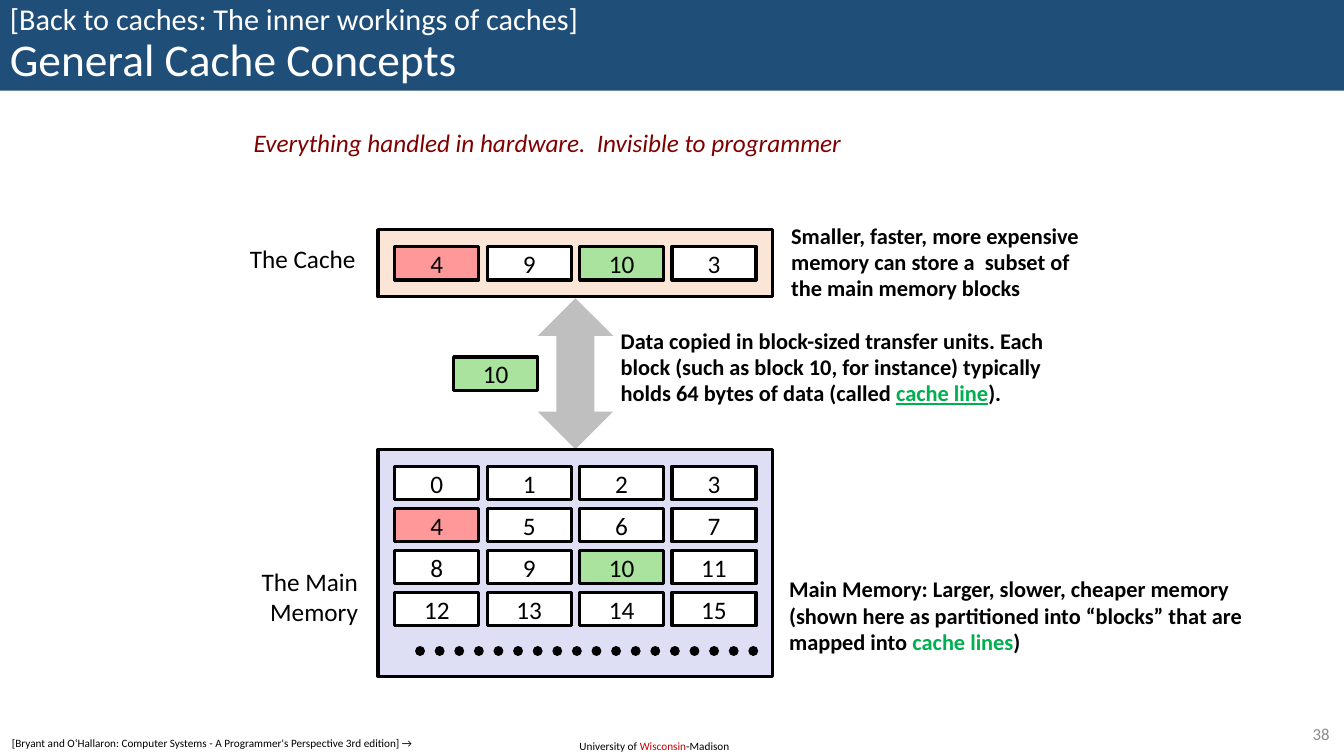
from lxml import etree
from pptx import Presentation
from pptx.dml.color import RGBColor
from pptx.enum.dml import MSO_LINE
from pptx.enum.shapes import MSO_CONNECTOR, MSO_SHAPE
from pptx.enum.text import MSO_ANCHOR, PP_ALIGN
from pptx.oxml.ns import qn
from pptx.util import Pt

RECT, UP_DOWN = MSO_SHAPE.RECTANGLE, MSO_SHAPE.UP_DOWN_ARROW
LEFT, CENTER, RIGHT = PP_ALIGN.LEFT, PP_ALIGN.CENTER, PP_ALIGN.RIGHT
TOP, MIDDLE = MSO_ANCHOR.TOP, MSO_ANCHOR.MIDDLE

FONT = "Calibri"
COLORS = {
    "black": "000000", "white": "FFFFFF", "banner": "1F4E79", "arrow": "BFBFBF",
    "memory": "DEDFF5", "cache": "FBE5D6", "red block": "FF9999",
    "green block": "A9E39D", "term": "00B050", "remark": "800000",
    "accent": "C00000", "page": "8C8C8C",
}

# Each text is a list of paragraphs; each paragraph is a list of (text, format) runs.
TITLE = [[("[Back to caches: The inner workings of caches]\v", {"size": 21.6}),
          ("General Cache Concepts", {"size": 32.4})]]
SOURCE = [[("[Bryant and O‘Hallaron: Computer Systems - "
            "A Programmer's Perspective 3rd edition] →", {})]]
UNIVERSITY = [[("University of ", {}), ("Wisconsin", {"color": "accent"}),
               ("-Madison", {})]]
REMARK = [[("Everything handled in hardware.  Invisible to programmer",
            {"italic": True, "color": "remark"})]]
CACHE_NOTE = [[("Smaller, faster, more expensive", {})],
              [("memory can store a  subset of", {})],
              [("the main memory blocks", {})]]
TRANSFER_NOTE = [[("Data copied in block-sized transfer units. Each block (such as "
                   "block 10, for instance) typically holds 64 bytes of data (called ", {}),
                  ("cache line", {"color": "term", "underline": True}), (").", {})]]
MEMORY_NOTE = [[("Main Memory: Larger, slower, cheaper memory", {})],
               [("(shown here as partitioned into “blocks” that are", {})],
               [("mapped into ", {}), ("cache lines", {"color": "term"}), (")", {})]]

# text, (left, top, width, height), base format, layout
NOTE = {"size": 16, "bold": True}
LABELS = [
    (UNIVERSITY, (406.8, 524.2, 123.8, 17.3), {"size": 8}, {}),
    ([[("The Cache", {})]], (171.4, 170.6, 90.7, 28.8), {"size": 18}, {"wrap": False}),
    ([[("The Main Memory", {})]], (160.6, 401, 102.2, 51.1), {"size": 18}, {"align": RIGHT}),
    (MEMORY_NOTE, (556.6, 408.2, 345.6, 64.1), NOTE,
     {"anchor": MIDDLE, "spacing": 0.98, "wrap": False}),
    (TRANSFER_NOTE, (436.3, 229.7, 324.7, 65.5), NOTE, {"anchor": MIDDLE, "spacing": 0.98}),
    (CACHE_NOTE, (558, 155.5, 231.1, 64.1), NOTE,
     {"anchor": MIDDLE, "spacing": 0.98, "wrap": False}),
    (REMARK, (174.2, 87.1, 451.4, 28.8), {"size": 18}, {"wrap": False}),
    ([[("38", {})]], (902.2, 513.4, 54.7, 20.9), {"size": 12, "color": "page"},
     {"anchor": MIDDLE, "align": RIGHT}),
]

CACHE_BLOCKS = [4, 9, 10, 3]
MEMORY_BLOCKS = range(16)
BLOCK_FILLS = {4: "red block", 10: "green block"}
MOVING_BLOCK = 10

COLUMNS = 4
BLOCK_W, BLOCK_H = 60, 24
PITCH_X, PITCH_Y = 66, 30
PADDING = 12
CACHE_BOX = (270, 164, 282, 48)
MEMORY_BOX = (270, 321, 282, 162)
ARROW_BOX = (384, 213, 54, 108)


def rgb(name):
    return RGBColor.from_string(COLORS[name])


def write(shape, text, base, align=LEFT, anchor=TOP, spacing=None, wrap=True):
    frame = shape.text_frame
    frame.word_wrap = wrap
    frame.vertical_anchor = anchor
    for number, runs in enumerate(text):
        paragraph = frame.add_paragraph() if number else frame.paragraphs[0]
        paragraph.alignment = align
        if spacing:
            paragraph.line_spacing = spacing
        for words, extra in runs:
            line, *broken = words.split("\v")
            run = paragraph.add_run()
            run.text = line
            if broken:
                paragraph.add_line_break()
            look = {"name": FONT, "color": "black", **base, **extra}
            run.font.color.rgb = rgb(look.pop("color"))
            look["size"] = Pt(look["size"])
            for key, value in look.items():
                setattr(run.font, key, value)


def add_box(slide, kind, box, fill, outlined=False):
    shape = slide.shapes.add_shape(kind, *map(Pt, box))
    shape.shadow.inherit = False
    shape.fill.solid()
    shape.fill.fore_color.rgb = rgb(fill)
    if outlined:
        shape.line.color.rgb = rgb("black")
        shape.line.width = Pt(2.25)
    else:
        shape.line.fill.background()
    return shape


def add_block(slide, number, left, top):
    block = add_box(slide, RECT, (left, top, BLOCK_W, BLOCK_H),
                    BLOCK_FILLS.get(number, "white"), True)
    write(block, [[(str(number), {})]], {"size": 18}, CENTER, MIDDLE)


def add_store(slide, box, fill, blocks):
    """Draw a memory level and its grid of numbered blocks."""
    add_box(slide, RECT, box, fill, True)
    for index, number in enumerate(blocks):
        row, column = divmod(index, COLUMNS)
        add_block(slide, number, box[0] + PADDING + column * PITCH_X,
                  box[1] + PADDING + row * PITCH_Y)


def add_dots(slide, left, right, y):
    dots = slide.shapes.add_connector(MSO_CONNECTOR.STRAIGHT, *map(Pt, (left, y, right, y)))
    dots.line.color.rgb = rgb("black")
    dots.line.width = Pt(7)
    dots.line.dash_style = MSO_LINE.ROUND_DOT
    properties = dots._element.spPr
    properties.find(qn("a:ln")).set("cap", "rnd")
    etree.SubElement(properties, qn("a:effectLst"))


def main():
    deck = Presentation()
    deck.slide_width, deck.slide_height = Pt(960), Pt(540)
    slide = deck.slides.add_slide(deck.slide_layouts[6])

    add_box(slide, UP_DOWN, ARROW_BOX, "arrow")
    banner = add_box(slide, RECT, (0, 0, 960, 64.8), "banner")
    write(banner, TITLE, {"color": "white"}, anchor=MIDDLE, spacing=0.9)

    add_store(slide, MEMORY_BOX, "memory", MEMORY_BLOCKS)
    add_dots(slide, 300, 540, 465)
    add_store(slide, CACHE_BOX, "cache", CACHE_BLOCKS)
    add_block(slide, MOVING_BLOCK, ARROW_BOX[0] - BLOCK_W, 255)

    for text, box, base, layout in LABELS:
        write(slide.shapes.add_textbox(*map(Pt, box)), text, base, **layout)
    source = add_box(slide, RECT, (1.4, 522.7, 310.3, 17.3), "white")
    write(source, SOURCE, {"size": 8})

    deck.save("out.pptx")


if __name__ == "__main__":
    main()
